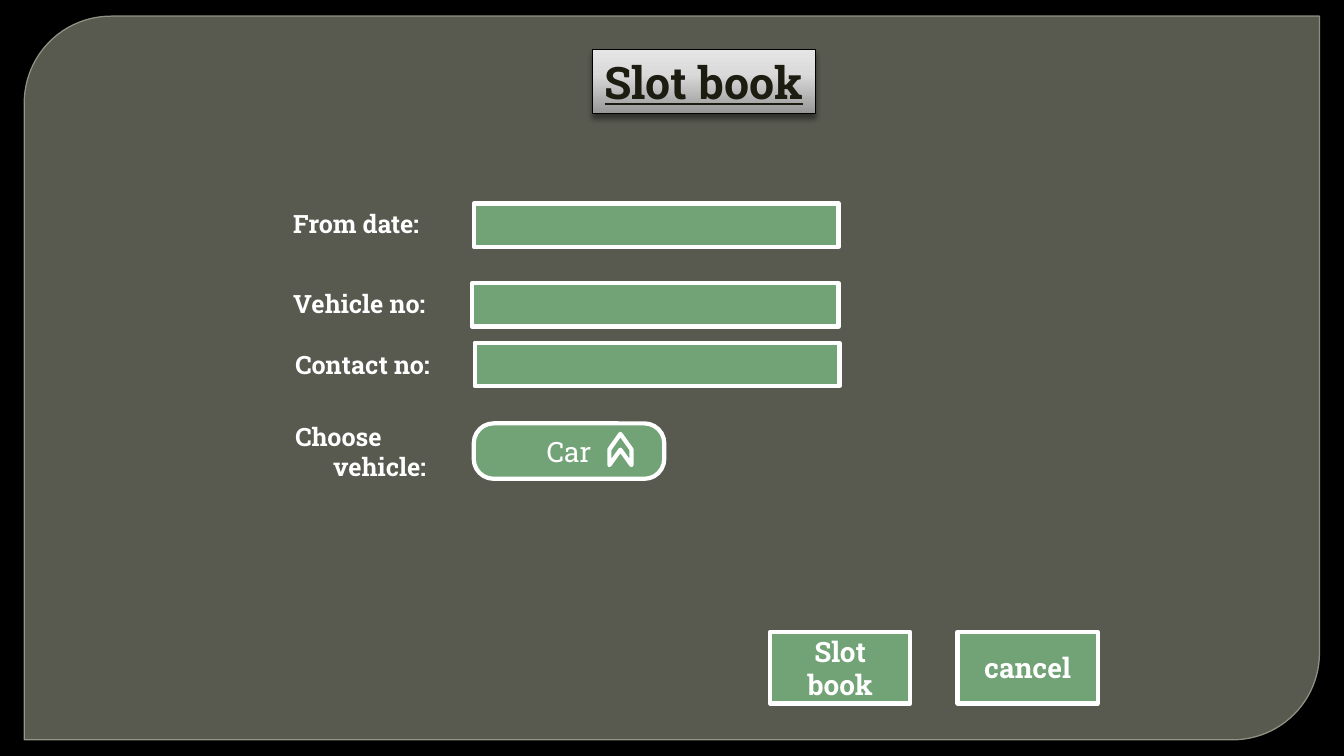
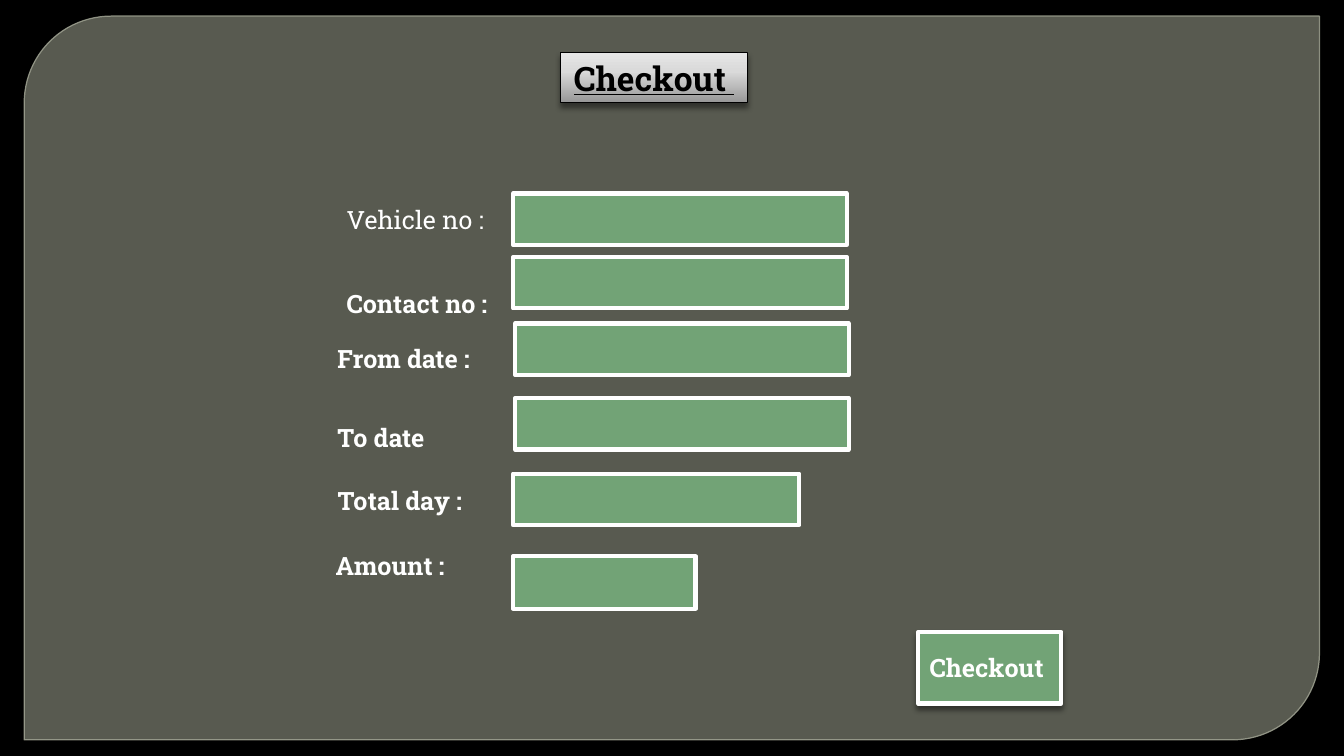
from dataclasses import dataclass

from pptx import Presentation
from pptx.dml.color import RGBColor
from pptx.enum.shapes import MSO_SHAPE as Kind
from pptx.enum.text import MSO_ANCHOR as Anchor, MSO_AUTO_SIZE as Fit, PP_ALIGN as Align
from pptx.oxml import parse_xml
from pptx.oxml.ns import nsdecls, qn
from pptx.shapes.autoshape import Shape
from pptx.slide import Slide, SlideLayout
from pptx.text.text import _Paragraph as Para
from pptx.util import Pt

BLACK = RGBColor(0x00, 0x00, 0x00)
WHITE = RGBColor(0xFF, 0xFF, 0xFF)
INK = RGBColor(0x1C, 0x1C, 0x11)
GREEN = RGBColor(0x72, 0xA3, 0x76)
OLIVE = RGBColor(0x88, 0x8B, 0x7B)
EDGE = RGBColor(0x9D, 0xA0, 0x90)
SILVER = (
    (0, RGBColor(0x97, 0x97, 0x97)),
    (62, RGBColor(0xDA, 0xDA, 0xDA)),
    (100, RGBColor(0xE5, 0xE5, 0xE5)),
)
FONT = "Roboto Slab"
LABEL_SIZE = 18


@dataclass(frozen=True)
class Box:
    left: float
    top: float
    width: float
    height: float

    def points(self) -> tuple[Pt, Pt, Pt, Pt]:
        return Pt(self.left), Pt(self.top), Pt(self.width), Pt(self.height)


@dataclass(frozen=True)
class Title:
    text: str
    box: Box
    size: float
    ink: RGBColor


@dataclass(frozen=True)
class Label:
    lines: tuple[str, ...]
    left: float
    top: float
    width: float
    bold: bool = True


@dataclass(frozen=True)
class Button:
    text: str
    box: Box
    size: float = 20
    bold: bool = True
    kind: Kind = Kind.RECTANGLE
    shade: bool = False


@dataclass(frozen=True)
class Form:
    title: Title
    labels: tuple[Label, ...]
    fields: tuple[Box, ...]
    buttons: tuple[Button, ...]


BOOK = Form(
    Title("Slot book", Box(423.36, 35.28, 159.12, 46.08), 32, INK),
    (
        Label(("From date:",), 202.3, 145.4, 113),
        Label(("Vehicle no:",), 202.3, 202.3, 113.8),
        Label(("Contact no:",), 203.8, 246.2, 116.6),
        Label(("Choose", "vehicle:"), 203.8, 297.4, 113.8),
    ),
    (
        Box(338.4, 145.4, 260.6, 31),
        Box(337, 202.3, 262, 31),
        Box(339.1, 244.8, 260.6, 31),
    ),
    (
        Button("Car", Box(338.4, 302.4, 136.1, 39.6), bold=False, kind=Kind.ROUNDED_RECTANGLE),
        Button("Slot book", Box(550.1, 451.4, 100.1, 51.1)),
        Button("cancel", Box(684, 451.4, 100.1, 51.1)),
    ),
)

CHECKOUT = Form(
    Title("Checkout ", Box(400.32, 37.44, 133.92, 36), 24, BLACK),
    (
        Label(("Vehicle no :",), 240.5, 142.6, 112.3, bold=False),
        Label(("Contact no :",), 240.5, 202.3, 121),
        Label(("From date :",), 234, 241.9, 117.4),
        Label(("To date",), 234, 298.1, 83.5),
        Label(("Total day :",), 234, 343.4, 107),
        Label(("Amount :",), 232.6, 389.5, 99.4),
    ),
    (
        Box(366.5, 138.2, 238.3, 36.7),
        Box(366.5, 183.6, 238.3, 36.7),
        Box(367.9, 231.1, 238.3, 36.7),
        Box(367.9, 284.4, 238.3, 36.7),
        Box(366.5, 338.4, 204.5, 36.7),
        Box(366.5, 397.4, 130.3, 37.4),
    ),
    (Button("Checkout ", Box(655.9, 451.4, 102.2, 51.1), size=18, shade=True),),
)


def write(para: Para, text: str, size: float, ink: RGBColor = WHITE,
          bold: bool = True, under: bool = False) -> None:
    run = para.add_run()
    run.text = text
    font = run.font
    font.name, font.size, font.bold = FONT, Pt(size), bold
    font.underline = under
    font.color.rgb = ink


def paint(shape: Shape, fill: RGBColor, line: RGBColor, width: float) -> None:
    shape.shadow.inherit = False
    shape.fill.solid()
    shape.fill.fore_color.rgb = fill
    shape.line.color.rgb = line
    shape.line.width = Pt(width)


def cast(shape: Shape) -> None:
    shape.shadow.inherit = False
    shape.element.spPr.find(qn("a:effectLst")).append(parse_xml(
        f'<a:outerShdw {nsdecls("a")} blurRad="{Pt(4)}" dist="{Pt(3)}" dir="5400000" '
        f'rotWithShape="0"><a:srgbClr val="{BLACK}"><a:alpha val="43000"/>'
        '</a:srgbClr></a:outerShdw>'))


def add_green(slide: Slide, box: Box, kind: Kind = Kind.RECTANGLE) -> Shape:
    shape = slide.shapes.add_shape(kind, *box.points())
    paint(shape, GREEN, WHITE, 3)
    return shape


def add_title(slide: Slide, title: Title) -> None:
    shape = slide.shapes.title
    shape.left, shape.top, shape.width, shape.height = title.box.points()
    shape.fill.gradient()
    stops = "".join(
        f'<a:gs pos="{spot * 1000}"><a:srgbClr val="{tint}"/></a:gs>' for spot, tint in SILVER)
    props = shape.element.spPr
    props.replace(props.find(qn("a:gradFill")), parse_xml(
        f'<a:gradFill {nsdecls("a")} rotWithShape="1"><a:gsLst>{stops}</a:gsLst>'
        '<a:lin ang="16200000" scaled="0"/></a:gradFill>'))
    shape.line.color.rgb = BLACK
    shape.line.width = Pt(0.75)
    cast(shape)
    frame = shape.text_frame
    frame.word_wrap = True
    frame.auto_size = Fit.NONE
    frame.vertical_anchor = Anchor.MIDDLE
    frame.margin_left = frame.margin_right = Pt(0)
    frame.margin_top = frame.margin_bottom = Pt(0)
    para = frame.paragraphs[0]
    para.alignment = Align.CENTER
    write(para, title.text, title.size, title.ink, under=True)


def add_label(slide: Slide, label: Label) -> None:
    height = 7.2 + 21.6 * len(label.lines)
    box = Box(label.left, label.top, label.width, height)
    frame = slide.shapes.add_textbox(*box.points()).text_frame
    frame.word_wrap = False
    frame.auto_size = Fit.SHAPE_TO_FIT_TEXT
    for rank, line in enumerate(label.lines):
        para = frame.add_paragraph() if rank else frame.paragraphs[0]
        if rank:
            para._p.get_or_add_pPr().set("marL", str(Pt(27)))
        write(para, line, LABEL_SIZE, bold=label.bold)


def add_button(slide: Slide, button: Button) -> None:
    shape = add_green(slide, button.box, button.kind)
    if button.kind == Kind.ROUNDED_RECTANGLE:
        shape.adjustments[0] = 0.36
    if button.shade:
        cast(shape)
    frame = shape.text_frame
    frame.word_wrap = True
    frame.vertical_anchor = Anchor.MIDDLE
    para = frame.paragraphs[0]
    para.alignment = Align.CENTER
    write(para, button.text, button.size, bold=button.bold)


def add_form(deck: Presentation, layout: SlideLayout, form: Form) -> Slide:
    slide = deck.slides.add_slide(layout)
    add_title(slide, form.title)
    for label in form.labels:
        add_label(slide, label)
    for field in form.fields:
        add_green(slide, field)
    for button in form.buttons:
        add_button(slide, button)
    return slide


def add_arrow(slide: Slide) -> None:
    arrow = add_green(slide, Box(432, 313.2, 22.3, 15.8), Kind.CHEVRON)
    arrow.adjustments[0] = 0.7
    arrow.rotation = 270


def set_theme(layout: SlideLayout, slide: Slide) -> None:
    back = layout.background.fill
    back.solid()
    back.fore_color.rgb = BLACK
    box = Box(17.28, 11.52, 925.2, 516.96)
    panel = slide.shapes.add_shape(Kind.ROUND_2_DIAG_RECTANGLE, *box.points())
    panel.adjustments[0], panel.adjustments[1] = 0.12, 0
    paint(panel, OLIVE, EDGE, 0.87)
    for tint, alpha in zip(panel.element.spPr.iter(qn("a:srgbClr")), (65, 88)):
        tint.append(parse_xml(f'<a:alpha {nsdecls("a")} val="{alpha * 1000}"/>'))
    panel.element.nvSpPr.cNvPr.set("id", "99")
    layout.shapes.element.insert(2, panel.element)


def main() -> None:
    deck = Presentation()
    deck.slide_width, deck.slide_height = Pt(960), Pt(540)
    layout = deck.slide_layouts[5]
    book = add_form(deck, layout, BOOK)
    add_arrow(book)
    set_theme(layout, book)
    add_form(deck, layout, CHECKOUT)
    deck.save("out.pptx")


if __name__ == "__main__":
    main()
